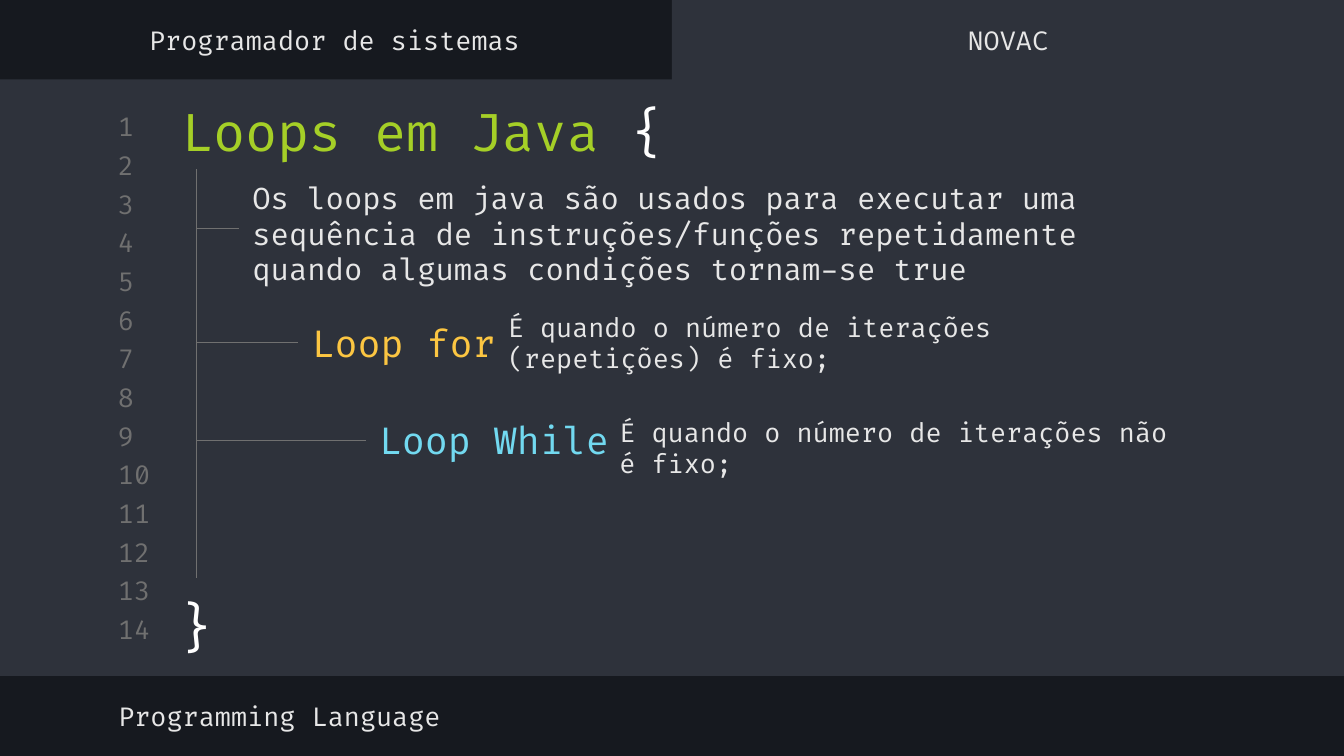
from dataclasses import dataclass

from lxml import etree
from pptx import Presentation
from pptx.dml.color import RGBColor
from pptx.enum.shapes import MSO_CONNECTOR, MSO_SHAPE
from pptx.enum.text import MSO_ANCHOR, MSO_AUTO_SIZE, PP_ALIGN
from pptx.oxml.ns import qn
from pptx.util import Inches, Pt

RECT, STRAIGHT = MSO_SHAPE.RECTANGLE, MSO_CONNECTOR.STRAIGHT
TOP, MIDDLE = MSO_ANCHOR.TOP, MSO_ANCHOR.MIDDLE
LEFT, CENTER = PP_ALIGN.LEFT, PP_ALIGN.CENTER


@dataclass(frozen=True)
class Theme:
    font: str = "Fira Code"
    background: str = "16191F"
    panel: str = "2E323B"
    muted: str = "707070"
    text: str = "E7E7E7"
    white: str = "FFFFFF"
    green: str = "A5CF27"
    yellow: str = "FCC642"
    blue: str = "72D9F0"
    title_size: int = 28
    loop_size: int = 20
    intro_size: int = 16
    small_size: int = 14


@dataclass(frozen=True)
class Box:
    left: float
    top: float
    width: float
    height: float

    def lengths(self) -> tuple:
        return tuple(Inches(v) for v in (self.left, self.top, self.width, self.height))


@dataclass(frozen=True)
class Label:
    text: str
    box: Box
    size: int
    color: str
    align: PP_ALIGN = LEFT
    anchor: MSO_ANCHOR = MIDDLE


THEME = Theme()
SLIDE_WIDTH = Inches(10)
SLIDE_HEIGHT = SLIDE_WIDTH * 9 // 16
TRUNK_X = 1.46
LINE_COUNT, LINE_TOP, LINE_BOTTOM = 14, 0.82, 4.56
LINE_PITCH = (LINE_BOTTOM - LINE_TOP) / (LINE_COUNT - 1)

PANELS = [Box(0, 0.59, 10, 4.44), Box(5, 0, 5, 0.65)]

TITLE = Label("Loops em Java ", Box(1.25, 0.64, 7.97, 0.59),
              THEME.title_size, THEME.green, anchor=TOP)
FOOTER = Label("Programming Language", Box(0.78, 5.13, 5.32, 0.39),
               THEME.small_size, THEME.text)

LINE_NUMBERS = [
    Label(str(i + 1), Box(0.78, LINE_TOP + i * LINE_PITCH, 0.47, 0.24),
          THEME.small_size, THEME.muted)
    for i in range(LINE_COUNT)
]
HEADERS = [
    Label(text, Box(left, 0.1, 5, 0.39), THEME.small_size, THEME.text, CENTER)
    for text, left in (("Programador de sistemas", -0.01), ("NOVAC", 5))
]
CONTENT = [
    Label("}", Box(1.19, 4.32, 0.55, 0.67), THEME.title_size, THEME.white, CENTER, TOP),
    Label("Os loops em java são usados para executar uma sequência de "
          "instruções/funções repetidamente quando algumas condições tornam-se true",
          Box(1.78, 1.35, 6.41, 0.77), THEME.intro_size, THEME.text),
    Label("Loop for", Box(2.22, 2.23, 1.7, 0.64), THEME.loop_size, THEME.yellow),
    Label("É quando o número de iterações (repetições) é fixo;",
          Box(3.68, 2.23, 4.35, 0.64), THEME.small_size, THEME.text),
    Label("Loop While", Box(2.72, 2.95, 1.97, 0.64), THEME.loop_size, THEME.blue),
    Label("É quando o número de iterações não é fixo;",
          Box(4.51, 3.01, 4.35, 0.64), THEME.small_size, THEME.text),
]
# Each branch runs from the trunk to (x, y)
BRANCHES = [(1.78, 1.7), (2.22, 2.55), (2.72, 3.28)]


def rgb(color: str) -> RGBColor:
    return RGBColor.from_string(color)


def write_label(s, label: Label) -> None:
    """Place a text shape and give it the label's text and format."""
    s.left, s.top, s.width, s.height = label.box.lengths()
    tf = s.text_frame
    tf.word_wrap = True
    tf.auto_size = MSO_AUTO_SIZE.NONE
    tf.vertical_anchor = label.anchor
    tf.margin_left = tf.margin_right = tf.margin_top = tf.margin_bottom = Inches(0.1)
    p = tf.paragraphs[0]
    p.alignment = label.align
    p.space_before = Pt(0)
    p.font.name = THEME.font
    p.font.size = Pt(label.size)
    p.font.color.rgb = rgb(label.color)
    p.add_run().text = label.text


def add_label(slide, label: Label) -> None:
    write_label(slide.shapes.add_textbox(*label.box.lengths()), label)


def add_panel(slide, box: Box) -> None:
    s = slide.shapes.add_shape(RECT, *box.lengths())
    s.shadow.inherit = False
    s.fill.solid()
    s.fill.fore_color.rgb = rgb(THEME.panel)
    s.line.fill.background()
    # Send behind the placeholders
    slide.shapes._spTree.insert(2, s._element)


def add_line(slide, x1: float, y1: float, x2: float, y2: float) -> None:
    s = slide.shapes.add_connector(STRAIGHT, *(Inches(v) for v in (x1, y1, x2, y2)))
    s.line.color.rgb = rgb(THEME.muted)
    s.line.width = Pt(0.75)
    etree.SubElement(s._element.spPr, qn("a:effectLst"))


def main() -> None:
    prs = Presentation()
    prs.slide_width, prs.slide_height = SLIDE_WIDTH, SLIDE_HEIGHT
    slide = prs.slides.add_slide(prs.slide_layouts[0])
    slide.background.fill.solid()
    slide.background.fill.fore_color.rgb = rgb(THEME.background)

    # Editor window
    for box in PANELS:
        add_panel(slide, box)

    # Title with its opening brace, and footer
    title, footer = slide.placeholders
    write_label(title, TITLE)
    r = title.text_frame.paragraphs[0].add_run()
    r.text = "{"
    r.font.color.rgb = rgb(THEME.white)
    write_label(footer, FOOTER)

    # Line numbers, headers and loop descriptions
    for label in LINE_NUMBERS + HEADERS + CONTENT:
        add_label(slide, label)

    # Indentation tree
    add_line(slide, TRUNK_X, 1.26, TRUNK_X, 4.3)
    for x, y in BRANCHES:
        add_line(slide, TRUNK_X, y, x, y)

    prs.save("out.pptx")


if __name__ == "__main__":
    main()
